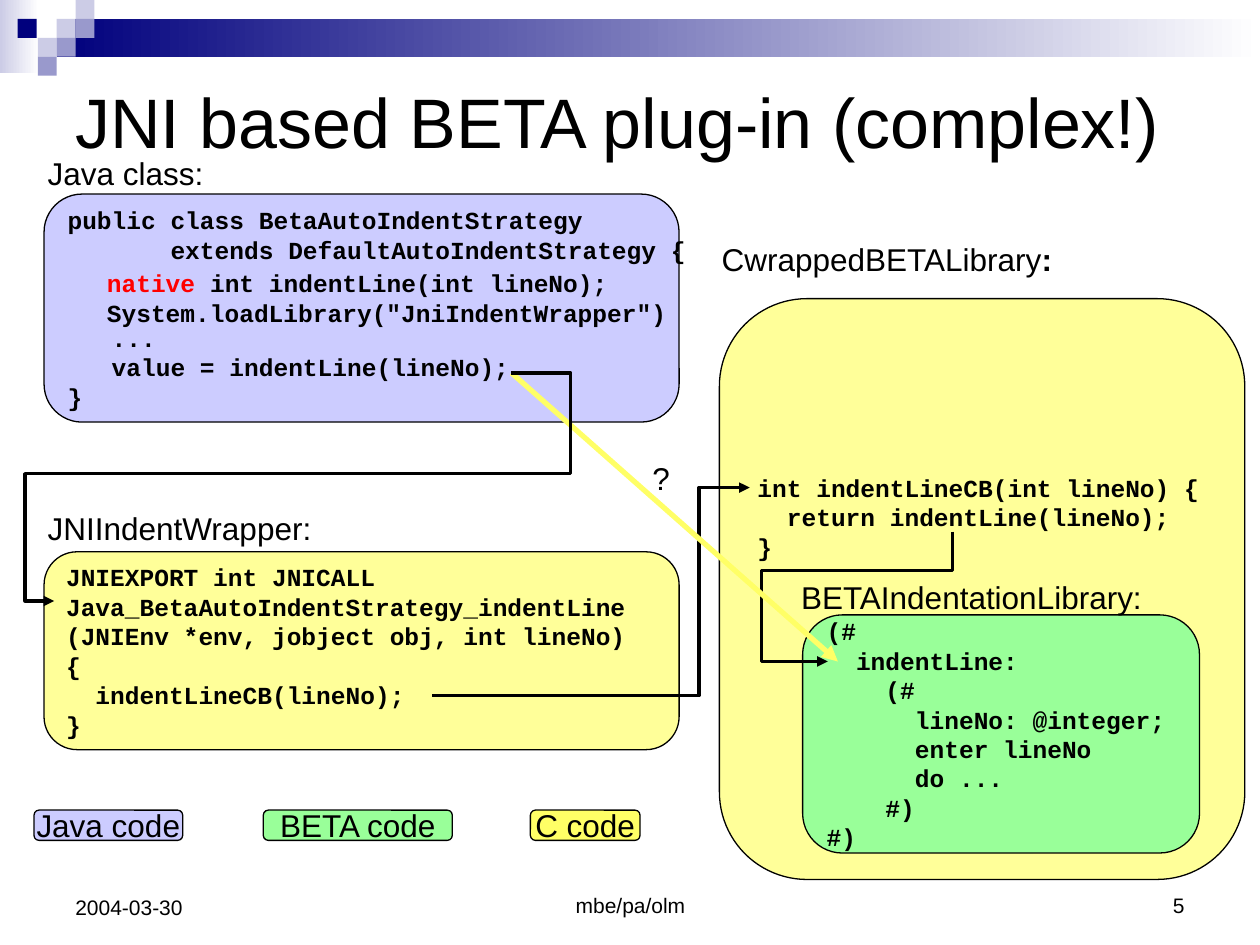
"""Builds the slide on calling BETA code from Java through a JNI wrapper."""
from dataclasses import dataclass

from lxml import etree
from pptx import Presentation
from pptx.dml.color import RGBColor
from pptx.enum.shapes import MSO_CONNECTOR, MSO_SHAPE
from pptx.enum.text import MSO_ANCHOR, MSO_AUTO_SIZE, PP_ALIGN
from pptx.oxml.ns import qn
from pptx.util import Inches, Pt

RECT, ROUND = MSO_SHAPE.RECTANGLE, MSO_SHAPE.ROUNDED_RECTANGLE
ALTERNATE = MSO_SHAPE.FLOWCHART_ALTERNATE_PROCESS
STRAIGHT, ELBOW = MSO_CONNECTOR.STRAIGHT, MSO_CONNECTOR.ELBOW
TOP, MIDDLE, BOTTOM = MSO_ANCHOR.TOP, MSO_ANCHOR.MIDDLE, MSO_ANCHOR.BOTTOM
LEFT, CENTER, RIGHT = PP_ALIGN.LEFT, PP_ALIGN.CENTER, PP_ALIGN.RIGHT
NO_FIT = MSO_AUTO_SIZE.NONE


@dataclass(frozen=True)
class Theme:
    sans: str = "Arial"
    mono: str = "Courier New"
    title: int = 40
    label: int = 18
    code: int = 14
    footer: int = 12
    ink: str = "000000"
    white: str = "FFFFFF"
    red: str = "FF0000"
    navy: str = "00007D"
    mid: str = "9999CC"
    pale: str = "CCCCE6"
    java: str = "CCCCFF"
    beta: str = "99FF99"
    c: str = "FFFF99"
    yellow: str = "FFFF66"


def rgb(value):
    return RGBColor.from_string(value)


def write(tf, lines, *, font, size, color, bold=False, align=LEFT, anchor=TOP,
          wrap=False, gaps=None):
    tf.word_wrap, tf.auto_size, tf.vertical_anchor = wrap, NO_FIT, anchor
    for i, line in enumerate(lines):
        p = tf.paragraphs[0] if i == 0 else tf.add_paragraph()
        p.alignment = align
        if gaps and i in gaps:
            p.space_before = Pt(gaps[i])
        for text, extra in [(line, {})] if isinstance(line, str) else line:
            r = p.add_run()
            r.text = text
            r.font.name, r.font.size = font, Pt(size)
            r.font.bold = extra.get("bold", bold)
            r.font.color.rgb = rgb(extra.get("color", color))


class Deck:
    def __init__(self, theme):
        self.t = theme
        self.prs = Presentation()
        self.prs.slide_width, self.prs.slide_height = Inches(10), Inches(7.5)
        self.s = self.prs.slides.add_slide(self.prs.slide_layouts[5])
        self.sans = dict(font=theme.sans, size=theme.label, color=theme.ink)
        self.mono = dict(font=theme.mono, size=theme.code, color=theme.ink, bold=True)

    def title(self, text, x, y, w, h):
        sp = self.s.shapes.title
        sp.left, sp.top, sp.width, sp.height = map(Inches, (x, y, w, h))
        style = self.sans | dict(size=self.t.title)
        write(sp.text_frame, [text], **style, anchor=MIDDLE, wrap=True)

    def shape(self, kind, x, y, w, h, fill, outline=True):
        sp = self.s.shapes.add_shape(kind, *map(Inches, (x, y, w, h)))
        sp.shadow.inherit = False
        sp.fill.solid()
        sp.fill.fore_color.rgb = rgb(fill)
        if outline:
            sp.line.color.rgb, sp.line.width = rgb(self.t.ink), Pt(0.75)
        else:
            sp.line.fill.background()
        return sp

    def fade(self, x, y, w, h, color):
        sp = self.shape(RECT, x, y, w, h, color, outline=False)
        sp.fill.gradient()
        sp.fill.gradient_angle = 0
        for stop, value, pos in zip(sp.fill.gradient_stops, (color, self.t.white), (0, 1)):
            stop.color.rgb, stop.position = rgb(value), pos

    def code_box(self, kind, x, y, w, h, fill, lines, top=None, gaps=None):
        tf = self.shape(kind, x, y, w, h, fill).text_frame
        if top is not None:
            tf.margin_top = Inches(top)
        anchor = MIDDLE if top is None else TOP
        write(tf, lines, **self.mono, anchor=anchor, gaps=gaps)

    def legend(self, x, w, fill, text):
        sp = self.shape(ROUND, x, 6.43, w, 0.24, fill)
        write(sp.text_frame, [text], **self.sans, align=CENTER, anchor=MIDDLE)

    def text(self, x, y, w, h, lines, style=None, **extra):
        sp = self.s.shapes.add_textbox(*map(Inches, (x, y, w, h)))
        write(sp.text_frame, lines, **(style or self.sans), **extra)

    def stroke(self, sp, color, width):
        sp.line.color.rgb, sp.line.width = rgb(color), Pt(width)
        etree.SubElement(sp.line._get_or_add_ln(), qn("a:tailEnd"), type="triangle")

    def arrow(self, start, end, color, width, kind=STRAIGHT, preset=None, adj=(), turn=0):
        sp = self.s.shapes.add_connector(kind, *map(Inches, (*start, *end)))
        self.stroke(sp, color, width)
        props = sp._element.spPr
        etree.SubElement(props, qn("a:effectLst"))
        geom = props.find(qn("a:prstGeom"))
        if preset:
            geom.set("prst", preset)
        if turn:
            props.find(qn("a:xfrm")).set("rot", str(turn * 60000))
        for i, value in enumerate(adj, 1):
            etree.SubElement(geom.find(qn("a:avLst")), qn("a:gd"), name=f"adj{i}",
                             fmla=f"val {round(value * 100000)}")

    def path_arrow(self, points, color, width):
        (x, y), *rest = [(Inches(a), Inches(b)) for a, b in points]
        builder = self.s.shapes.build_freeform(x, y)
        builder.add_line_segments(rest, close=False)
        sp = builder.convert_to_shape()
        sp.shadow.inherit = False
        sp.fill.background()
        self.stroke(sp, color, width)


def main():
    t = Theme()
    d = Deck(t)

    d.fade(0, 0, 0.31, 0.58, t.pale)
    d.fade(0.45, 0.15, 9.55, 0.3, t.navy)
    for x, y, color in [(0.45, 0.15, t.pale), (0.6, 0, t.pale), (0.6, 0.15, t.mid),
                        (0.3, 0.3, t.pale), (0.14, 0.15, t.navy),
                        (0.45, 0.3, t.mid), (0.3, 0.45, t.mid)]:
        d.shape(RECT, x, y, 0.15, 0.15, color, outline=False)
    d.title("JNI based BETA plug-in (complex!)", 0.5, 0.21, 9, 1.5)

    d.code_box(ALTERNATE, 0.35, 1.54, 5.04, 1.81, t.java, [
        "public class BetaAutoIndentStrategy",
        "       extends DefaultAutoIndentStrategy {",
        "   ...",
        "   value = indentLine(lineNo);",
        "}"], gaps={2: 33.6})
    d.text(0.28, 1.17, 1.43, 0.4, ["Java class:"])

    d.code_box(ROUND, 5.71, 2.37, 4.17, 4.61, t.c, [
        "int indentLineCB(int lineNo) {",
        "  return indentLine(lineNo);",
        "}"], top=1.18)
    d.text(5.63, 1.86, 2.84, 0.4, [[("CwrappedBETALibrary", {}), (":", {"bold": True})]])

    d.code_box(ROUND, 0.35, 4.38, 5.04, 1.57, t.c, [
        "JNIEXPORT int JNICALL",
        "Java_BetaAutoIndentStrategy_indentLine",
        "(JNIEnv *env, jobject obj, int lineNo)",
        "{",
        "  indentLineCB(lineNo);",
        "}"])
    d.text(0.28, 3.99, 2.3, 0.4, ["JNIIndentWrapper:"])

    d.code_box(ROUND, 6.37, 4.88, 3.15, 1.89, t.beta, [
        "(#",
        "  indentLine:",
        "    (#",
        "      lineNo: @integer;",
        "      enter lineNo",
        "      do ...",
        "    #)",
        "#)"])
    d.text(6.26, 4.54, 2.92, 0.4, ["BETAIndentationLibrary:"])

    d.arrow((3.43, 5.52), (5.95, 3.87), t.ink, 2, ELBOW, adj=[0.84])
    d.arrow((6.55, 4.24), (7.58, 5.23), t.ink, 2, ELBOW, "bentConnector4", [0.3, 1.53], 90)
    d.arrow((4.06, 2.96), (6.65, 5.25), t.yellow, 3)
    d.text(5.08, 3.59, 0.34, 0.4, ["?"])
    d.text(0.75, 2.08, 5.28, 0.57, [
        [("native", {"color": t.red}), (" int indentLine(int lineNo);", {})],
        'System.loadLibrary("JniIndentWrapper")'], d.mono, wrap=True)
    d.path_arrow([(4.06, 2.96), (4.53, 2.96), (4.53, 3.76), (0.2, 3.76),
                  (0.2, 4.77), (0.43, 4.77)], t.ink, 2)

    for x, w, fill, text in [(0.27, 1.18, t.java, "Java code"),
                             (2.09, 1.5, t.beta, "BETA code"),
                             (4.21, 0.87, t.yellow, "C code")]:
        d.legend(x, w, fill, text)
    for x, w, h, text, align in [(3.42, 3.17, 0.5, "mbe/pa/olm", CENTER),
                                 (7.17, 2.33, 0.5, "5", RIGHT),
                                 (0.5, 2.33, 0.52, "2004-03-30", LEFT)]:
        d.text(x, 6.83, w, h, [text], d.sans | dict(size=t.footer),
               align=align, anchor=BOTTOM, wrap=True)
    d.prs.save("out.pptx")


if __name__ == "__main__":
    main()
